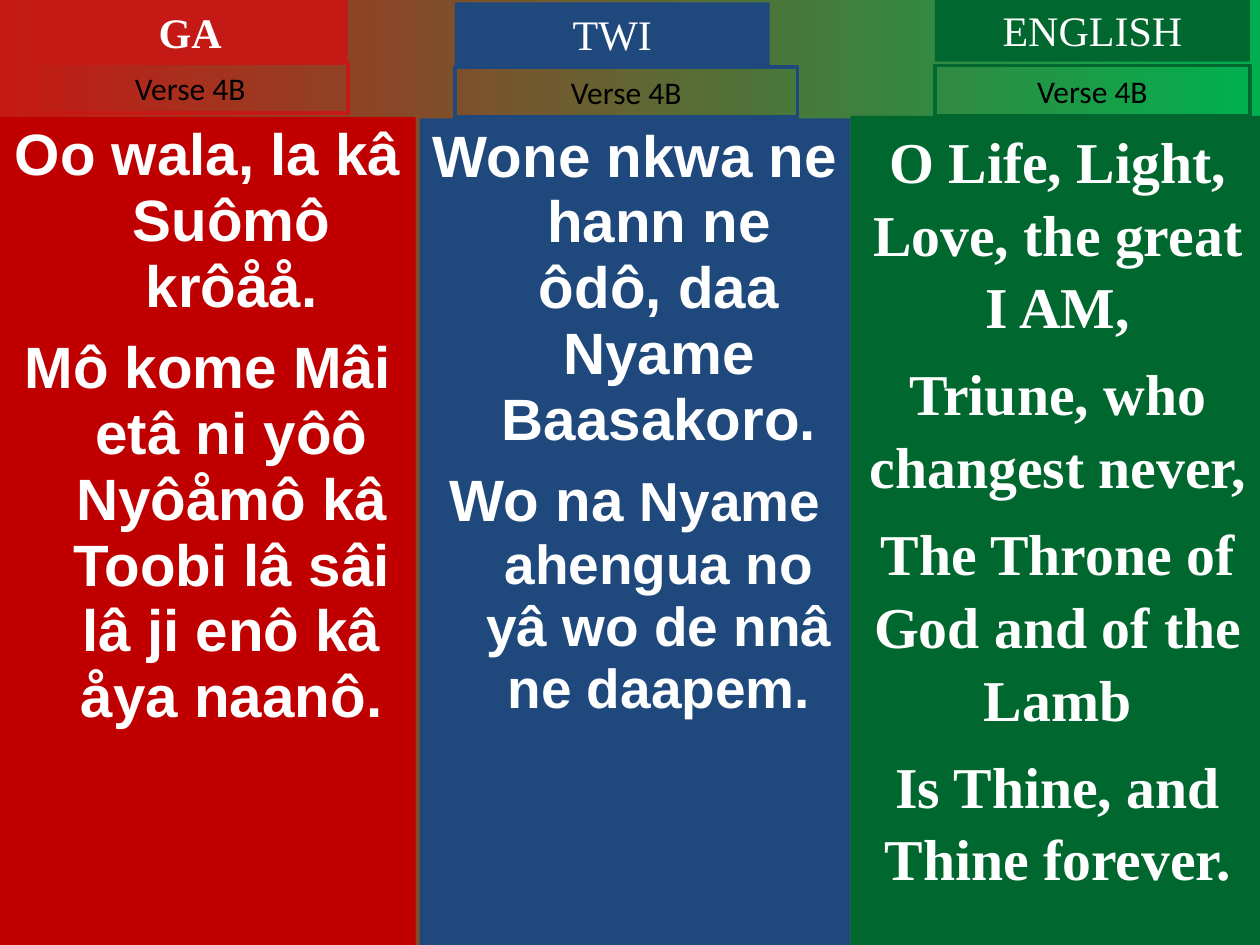
import pptx
import pptx.util
import pptx.dml.color
import pptx.enum.shapes
import pptx.enum.text

Inches, Pt = pptx.util.Inches, pptx.util.Pt
COLORS = {
    "red": "C51915", "deep red": "C00000", "blue": "1F497D",
    "green": "00682F", "bright green": "00B050",
    "white": "FFFFFF", "black": "000000",
}
SERIF = "Times New Roman"


def color(name):
    return pptx.dml.color.RGBColor.from_string(COLORS[name])


def add_box(page, place, fill=None, line=None, grow=False):
    """Add a rectangle at (left, top, width, height) in inches."""
    box = page.shapes.add_shape(
        pptx.enum.shapes.MSO_SHAPE.RECTANGLE, *map(Inches, place))
    box.shadow.inherit = False
    if fill:
        box.fill.solid()
        box.fill.fore_color.rgb = color(fill)
    else:
        box.fill.background()
    if line:
        box.line.color.rgb = color(line)
        box.line.width = Pt(2.25)
    else:
        box.line.fill.background()
    frame = box.text_frame
    frame.word_wrap = True
    frame.vertical_anchor = pptx.enum.text.MSO_ANCHOR.TOP
    if grow:
        frame.auto_size = pptx.enum.text.MSO_AUTO_SIZE.SHAPE_TO_FIT_TEXT
    return box


def add_text(box, paragraphs, font, ink="white", bold=False,
             spacing=1.0, before=0, hanging=0):
    """Fill the box; each paragraph is a list of (text, size) spans."""
    frame = box.text_frame
    for index, spans in enumerate(paragraphs):
        para = frame.add_paragraph() if index else frame.paragraphs[0]
        para.alignment = pptx.enum.text.PP_ALIGN.CENTER
        para.line_spacing = spacing
        para.space_before = Pt(before if index else 0)
        if hanging:
            properties = para._p.get_or_add_pPr()
            properties.set("marL", str(Inches(hanging)))
            properties.set("indent", str(-Inches(hanging)))
        for text, size in spans:
            span = para.add_run()
            span.text = text
            span.font.name = font
            span.font.size = Pt(size)
            span.font.bold = bold
            span.font.color.rgb = color(ink)


def add_column(page, column):
    """Add one language: lyrics panel, language heading and verse label."""
    panel = add_box(page, column["panel"], fill=column["panel fill"])
    add_text(panel, column["lyrics"], bold=True, **column["style"])

    left, top = column["heading at"]
    heading = add_box(page, (left, top, 2.5, 0.5), fill=column["accent"], grow=True)
    add_text(heading, [[(column["language"], 24)]], SERIF,
             bold=column["bold heading"])

    label_top, label_width = column["label"]
    label = add_box(page, (left, label_top, label_width, 0.4),
                    line=column["accent"], grow=True)
    add_text(label, [[("Verse 4B", 18)]], "Calibri", ink="black")


def set_background(page):
    fill = page.background.fill
    fill.gradient()
    fill.gradient_angle = 0
    for stop, name in zip(fill.gradient_stops, ("red", "bright green")):
        stop.color.rgb = color(name)


HANGING = {"font": "Arial", "spacing": 0.94, "before": 9, "hanging": 0.38}
COLUMNS = [
    {
        "language": "GA", "bold heading": True,
        "accent": "red", "panel fill": "deep red",
        "panel": (0, 0.93, 3.3, 6.57),
        "heading at": (0.26, 0), "label": (0.5, 2.5),
        "style": HANGING,
        "lyrics": [
            [("Oo wala, la kâ Suômô krôåå.", 33.3)],
            [("Mô kome Mâi etâ ni yôô Nyôåmô kâ Toobi lâ sâi lâ ji enô kâ "
              "åya naanô.", 33.3)],
        ],
    },
    {
        "language": "TWI", "bold heading": False,
        "accent": "blue", "panel fill": "blue",
        "panel": (3.33, 0.94, 3.42, 6.56),
        "heading at": (3.61, 0.02), "label": (0.53, 2.72),
        "style": HANGING,
        "lyrics": [
            [("Wone nkwa ne hann ne ôdô, daa Nyame Baasakoro.", 33.3)],
            [("Wo na ", 33.3),
             ("Nyame ahengua no yâ wo de nnâ ne daapem.", 31.4)],
        ],
    },
    {
        "language": "ENGLISH", "bold heading": False,
        "accent": "green", "panel fill": "green",
        "panel": (6.75, 0.92, 3.29, 6.58),
        "heading at": (7.42, -0.01), "label": (0.52, 2.5),
        "style": {"font": SERIF, "spacing": 1.05, "before": 8.2},
        "lyrics": [
            [("O Life, Light, Love, the great I AM,", 33)],
            [("Triune, who changest never,", 33)],
            [("The Throne of God and of the Lamb", 33)],
            [("Is Thine, and Thine forever.", 33)],
        ],
    },
]


def main():
    deck = pptx.Presentation()
    deck.slide_width, deck.slide_height = Inches(10), Inches(7.5)
    page = deck.slides.add_slide(deck.slide_layouts[6])
    set_background(page)
    for column in COLUMNS:
        add_column(page, column)
    deck.save("out.pptx")


if __name__ == "__main__":
    main()
